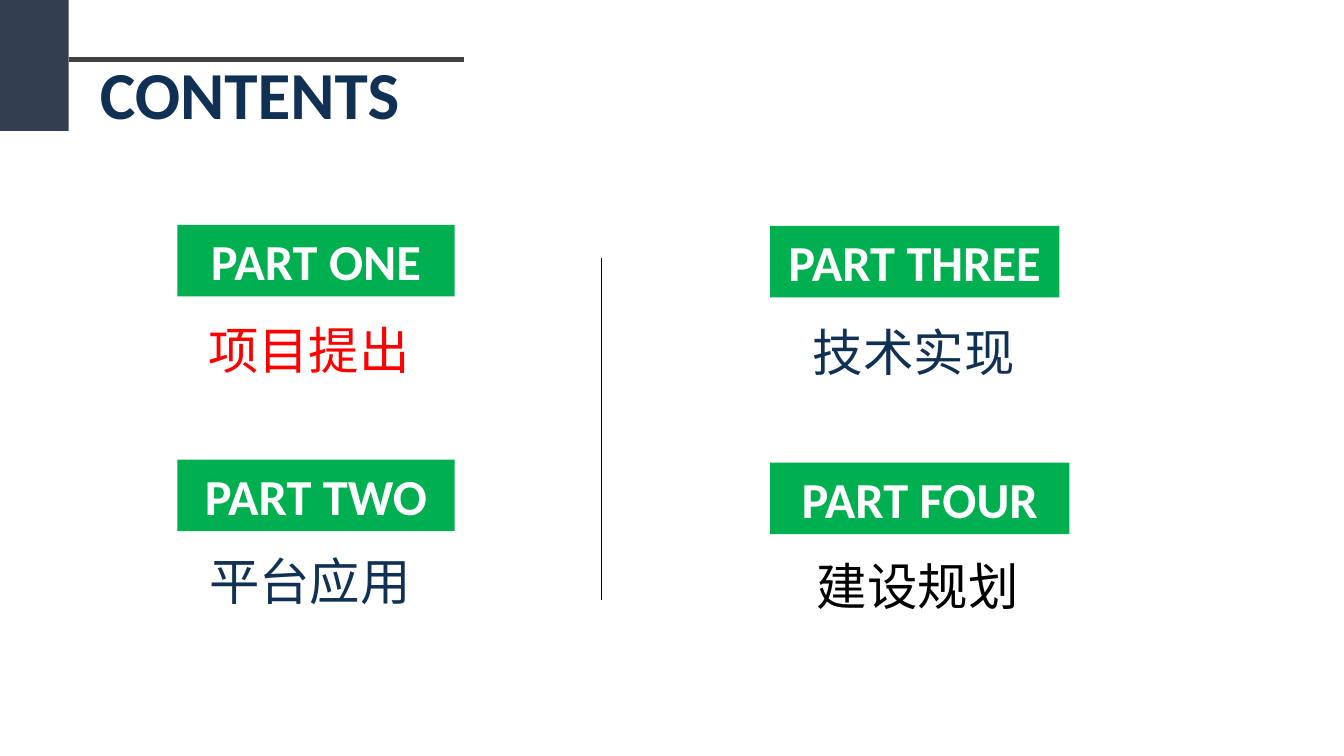
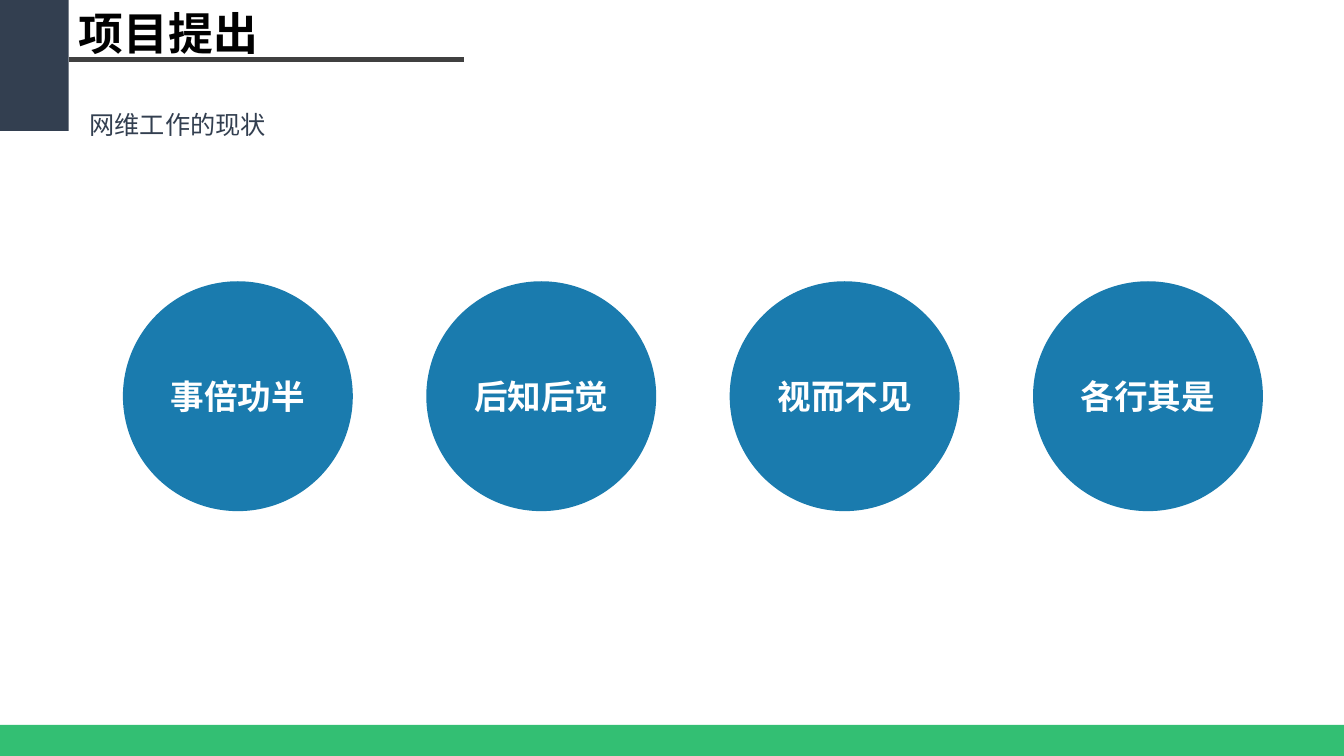
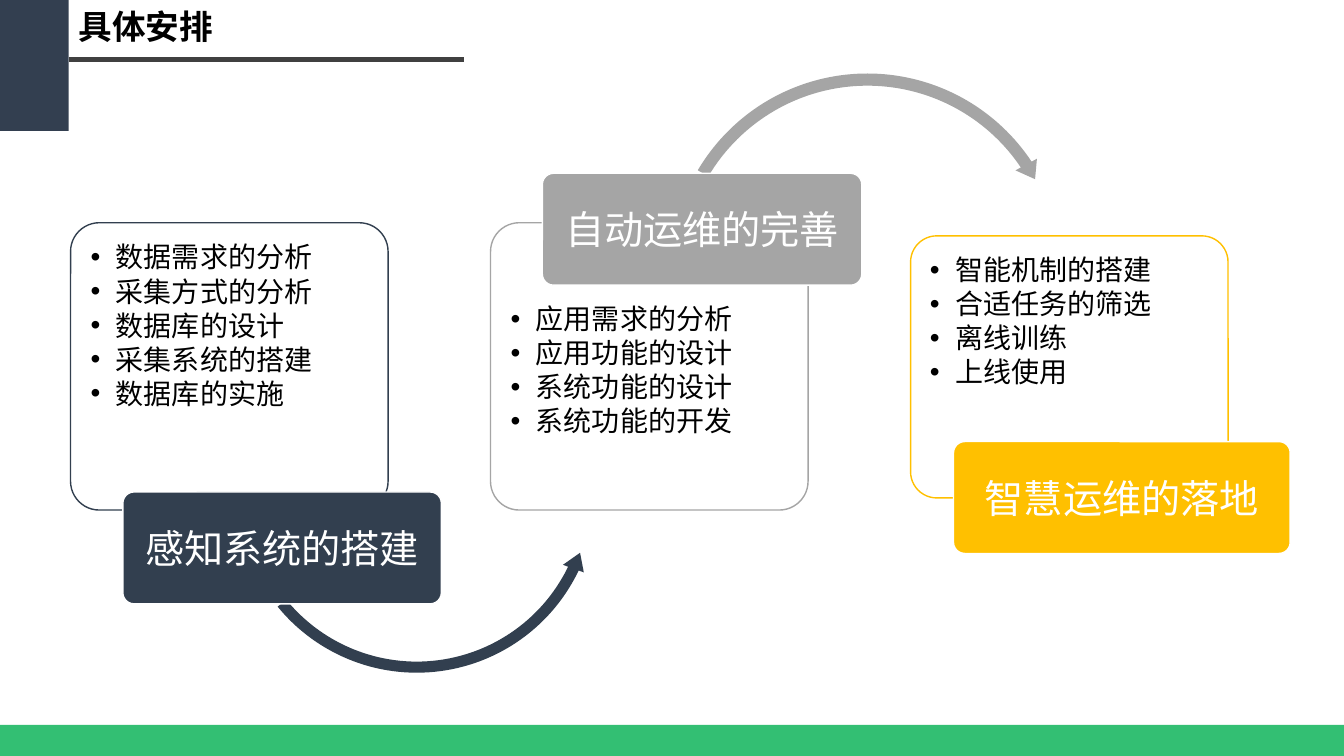
from pptx import Presentation
from pptx.dml.color import RGBColor
from pptx.enum.lang import MSO_LANGUAGE_ID as LANG
from pptx.enum.shapes import MSO_CONNECTOR, MSO_SHAPE
from pptx.enum.text import MSO_ANCHOR as ANCHOR, MSO_AUTO_SIZE as AUTO, PP_ALIGN as ALIGN
from pptx.oxml.ns import qn
from pptx.util import Pt
from lxml.etree import SubElement

WHITE = RGBColor(0xFF, 0xFF, 0xFF)
BLACK = RGBColor(0, 0, 0)
RED = RGBColor(0xFF, 0, 0)
NAVY = RGBColor(0x10, 0x31, 0x54)
SLATE = RGBColor(0x33, 0x3F, 0x50)
STEEL = RGBColor(0x32, 0x3F, 0x4F)
CHARCOAL = RGBColor(0x40, 0x40, 0x40)
GRAY = RGBColor(0xA5, 0xA5, 0xA5)
GOLD = RGBColor(0xFF, 0xC0, 0)
GREEN = RGBColor(0, 0xB0, 0x50)
BLUE = RGBColor(0x1A, 0x7B, 0xAE)

LATIN = "Calibri"
HAN = "Noto Sans CJK SC"
WIDTH, HEIGHT = 960, 540
TAB_WIDTH = 49
ROUNDING = 0.1

PARTS = [
    ("PART ONE", (126.7, 160.6, 198), "项目提出", (118.8, 211.7, 203.8), RED),
    ("PART TWO", (126.7, 328.3, 198), "平台应用", (118.8, 376.6, 205.2), NAVY),
    ("PART THREE", (550.1, 161.3, 206.6), "技术实现", (548.6, 213.1, 208.1), NAVY),
    ("PART FOUR", (550.1, 330.5, 213.8), "建设规划", (548.6, 380.2, 213.8), BLACK),
]
PROBLEMS = ["事倍功半", "后知后觉", "视而不见", "各行其是"]
STAGES = [
    {
        "heading": "感知系统的搭建", "heading_box": (87.8, 351.4, 227.5, 79.9),
        "color": STEEL, "top": 159.1, "height": 205.2, "text_top": 9,
        "tasks": ["数据需求的分析", "采集方式的分析", "数据库的设计", "采集系统的搭建", "数据库的实施"],
        "arrow": (MSO_SHAPE.LEFT_CIRCULAR_ARROW, (165.6, 220.3, 264.2, 264.2),
                  (0.03, 3.4, 15.4, 84.49, 0.03)),
    },
    {
        "heading": "自动运维的完善", "heading_box": (387.4, 123.8, 228.2, 79.9),
        "color": GRAY, "top": 159.1, "height": 205.2, "text_top": 53,
        "tasks": ["应用需求的分析", "应用功能的设计", "系统功能的设计", "系统功能的开发"],
        "arrow": (MSO_SHAPE.CIRCULAR_ARROW, (474.5, 48.2, 290.2, 290.2),
                  (0.03, 3.08, 195.77, 126.36, 0.03)),
    },
    {
        "heading": "智慧运维的落地", "heading_box": (681.1, 315.4, 240.5, 79.9),
        "color": GOLD, "top": 168.5, "height": 187.2, "text_top": 9,
        "tasks": ["智能机制的搭建", "合适任务的筛选", "离线训练", "上线使用"],
        "arrow": None,
    },
]


def set_all(target, values):
    """Set every attribute in a dict of format values."""
    for key, value in values.items():
        setattr(target, key, value)


def write(paragraph, text, size, color, face=LATIN, bold=False):
    """Fill a paragraph with one formatted run."""
    run = paragraph.add_run()
    run.text = text
    set_all(run.font, {"size": Pt(size), "name": face, "bold": bold,
                       "language_id": LANG.SIMPLIFIED_CHINESE})
    run.font.color.rgb = color
    SubElement(run.font._element, qn("a:ea")).set("typeface", face)


def add_block(slide, preset, box, fill, opacity=100, outline=None):
    """Add a filled preset shape and return it."""
    block = slide.shapes.add_shape(preset, *map(Pt, box))
    block.shadow.inherit = False
    block.fill.solid()
    block.fill.fore_color.rgb = fill
    if opacity < 100:
        tone = block.element.spPr.find(qn("a:solidFill"))[0]
        SubElement(tone, qn("a:alpha")).set("val", str(opacity * 1000))
    if outline is None:
        block.line.fill.background()
    else:
        block.line.color.rgb = outline
        block.line.width = Pt(1)
    return block


def label(block, text, size, **style):
    """Write one centred white line in a shape."""
    paragraph = block.text_frame.paragraphs[0]
    paragraph.alignment = ALIGN.CENTER
    write(paragraph, text, size, WHITE, **style)


def add_line(slide, start, end, color, width):
    """Add a straight line without a shadow."""
    line = slide.shapes.add_connector(MSO_CONNECTOR.STRAIGHT, *map(Pt, start + end))
    line.line.color.rgb = color
    line.line.width = Pt(width)
    SubElement(line.element.spPr, qn("a:effectLst"))


def add_text(slide, box, text, size, color, face, align=ALIGN.LEFT, spacing=1.0):
    """Add a wrapping text box of one paragraph."""
    frame = slide.shapes.add_textbox(*map(Pt, box)).text_frame
    frame.word_wrap = True
    paragraph = frame.paragraphs[0]
    set_all(paragraph, {"alignment": align, "line_spacing": spacing})
    write(paragraph, text, size, color, face)


def start_slide(deck, title, box, size, color=BLACK, face=HAN, footer=True):
    """Add a slide with the shared corner tab, rule, title and footer band."""
    slide = deck.slides.add_slide(deck.slide_layouts[5])
    add_block(slide, MSO_SHAPE.RECTANGLE, (0, 0, TAB_WIDTH, 93.6), SLATE)
    add_line(slide, (TAB_WIDTH, 42.5), (331.2, 42.5), CHARCOAL, 3)
    if footer:
        add_block(slide, MSO_SHAPE.RECTANGLE, (0, 517.7, WIDTH, HEIGHT - 517.7), GREEN, 80)
    heading = slide.shapes.title
    set_all(heading, dict(zip(("left", "top", "width", "height"), map(Pt, box))))
    set_all(heading.text_frame, {"vertical_anchor": ANCHOR.TOP, "word_wrap": False,
                                 "auto_size": AUTO.NONE})
    paragraph = heading.text_frame.paragraphs[0]
    paragraph.alignment = ALIGN.LEFT
    write(paragraph, title, size, color, face, bold=True)
    return slide


def add_part(slide, name, name_place, topic, topic_place, color):
    """Add a green part label with its topic below."""
    banner = add_block(slide, MSO_SHAPE.RECTANGLE, (*name_place, 51.1), GREEN)
    label(banner, name, 36, bold=True)
    add_text(slide, (*topic_place, 64), topic, 36, color, HAN, ALIGN.CENTER, 1.3)


def add_tasks(card, tasks):
    """Write a bulleted task list in a card."""
    frame = card.text_frame
    for index, task in enumerate(tasks):
        paragraph = frame.add_paragraph() if index else frame.paragraphs[0]
        set_all(paragraph, {"alignment": ALIGN.LEFT, "line_spacing": 0.9, "space_after": Pt(2.7)})
        properties = paragraph._p.get_or_add_pPr()
        properties.set("marL", str(Pt(18)))
        properties.set("indent", str(-Pt(18)))
        SubElement(properties, qn("a:buFont")).set("typeface", "Arial")
        SubElement(properties, qn("a:buChar")).set("char", "•")
        write(paragraph, task, 20, BLACK)


def add_stage(slide, left, stage):
    """Add a task card with its heading and the arrow to the next stage."""
    color = stage["color"]
    card = add_block(slide, MSO_SHAPE.ROUNDED_RECTANGLE,
                     (left, stage["top"], 226.8, stage["height"]), WHITE, 90, color)
    card.adjustments[0] = ROUNDING
    set_all(card.text_frame, {"vertical_anchor": ANCHOR.TOP, "margin_left": Pt(8.4),
                              "margin_right": Pt(8.4), "margin_top": Pt(stage["text_top"])})
    add_tasks(card, stage["tasks"])
    if stage["arrow"]:
        preset, box, bends = stage["arrow"]
        arrow = add_block(slide, preset, box, color)
        for index, bend in enumerate(bends):
            arrow.adjustments[index] = bend
    heading = add_block(slide, MSO_SHAPE.ROUNDED_RECTANGLE, stage["heading_box"], color,
                        outline=WHITE)
    heading.adjustments[0] = ROUNDING
    set_all(heading.text_frame, {"margin_left": Pt(4), "margin_right": Pt(4)})
    label(heading, stage["heading"], 28)


def build_contents(deck):
    """Build the contents slide."""
    slide = start_slide(deck, "CONTENTS", (64.1, 33.8, 231.1, 65.5), 48, NAVY, LATIN, footer=False)
    for part in PARTS:
        add_part(slide, *part)
    add_line(slide, (429.8, 184.3), (429.8, 428.4), BLACK, 1)


def build_problems(deck):
    """Build the slide on the present state of the work."""
    slide = start_slide(deck, "项目提出", (TAB_WIDTH, 0.7, 144.7, 46.1), 32)
    add_text(slide, (56.9, 74.2, 310.3, 28.8), "网维工作的现状", 18, SLATE, LATIN)
    for index, problem in enumerate(PROBLEMS):
        circle = add_block(slide, MSO_SHAPE.OVAL,
                           (87.8 + 216.7 * index, 200.9, 164.2, 164.2), BLUE)
        label(circle, problem, 24, face="Arial", bold=True)


def build_schedule(deck):
    """Build the slide with the three stages."""
    slide = start_slide(deck, "具体安排", (TAB_WIDTH, 0.7, 224.6, 36), 24)
    for index, stage in enumerate(STAGES):
        add_stage(slide, 50.4 + 300 * index, stage)


def main():
    """Build and save the deck."""
    deck = Presentation()
    set_all(deck, {"slide_width": Pt(WIDTH), "slide_height": Pt(HEIGHT)})
    build_contents(deck)
    build_problems(deck)
    build_schedule(deck)
    deck.save("out.pptx")


if __name__ == "__main__":
    main()
